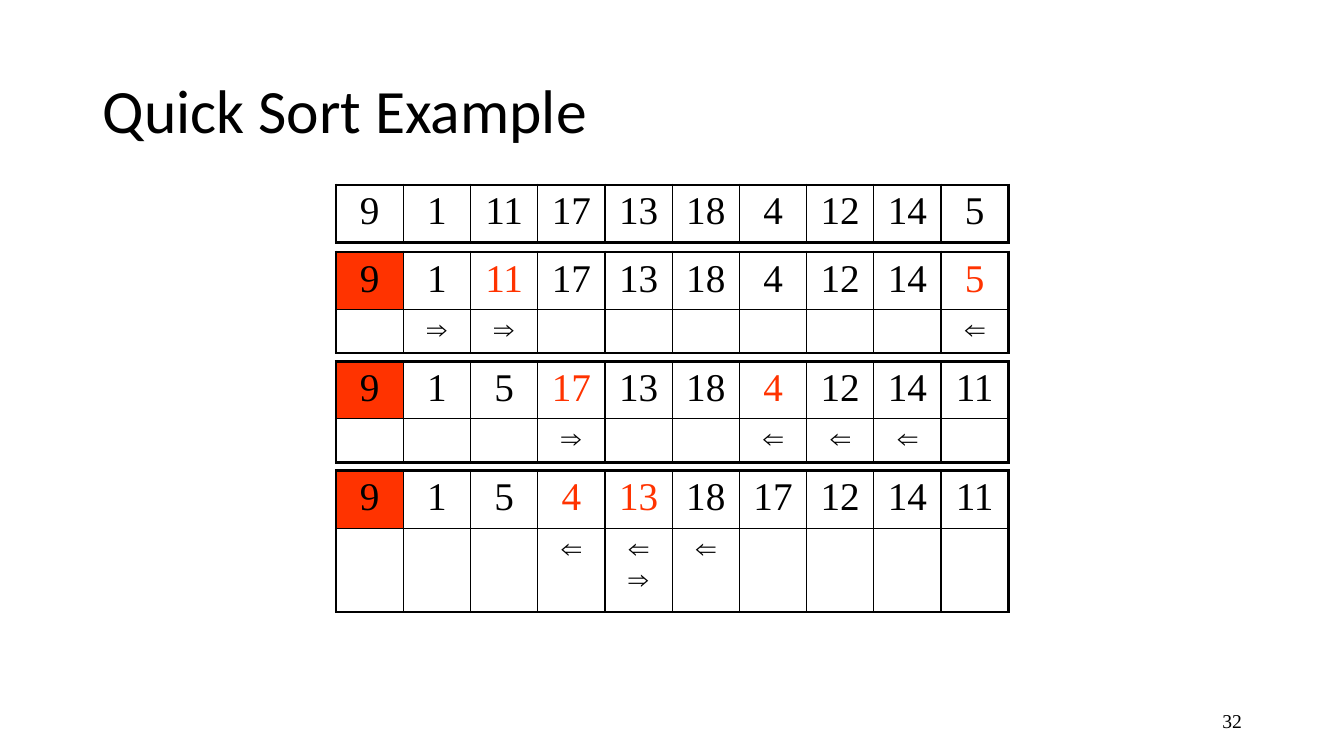
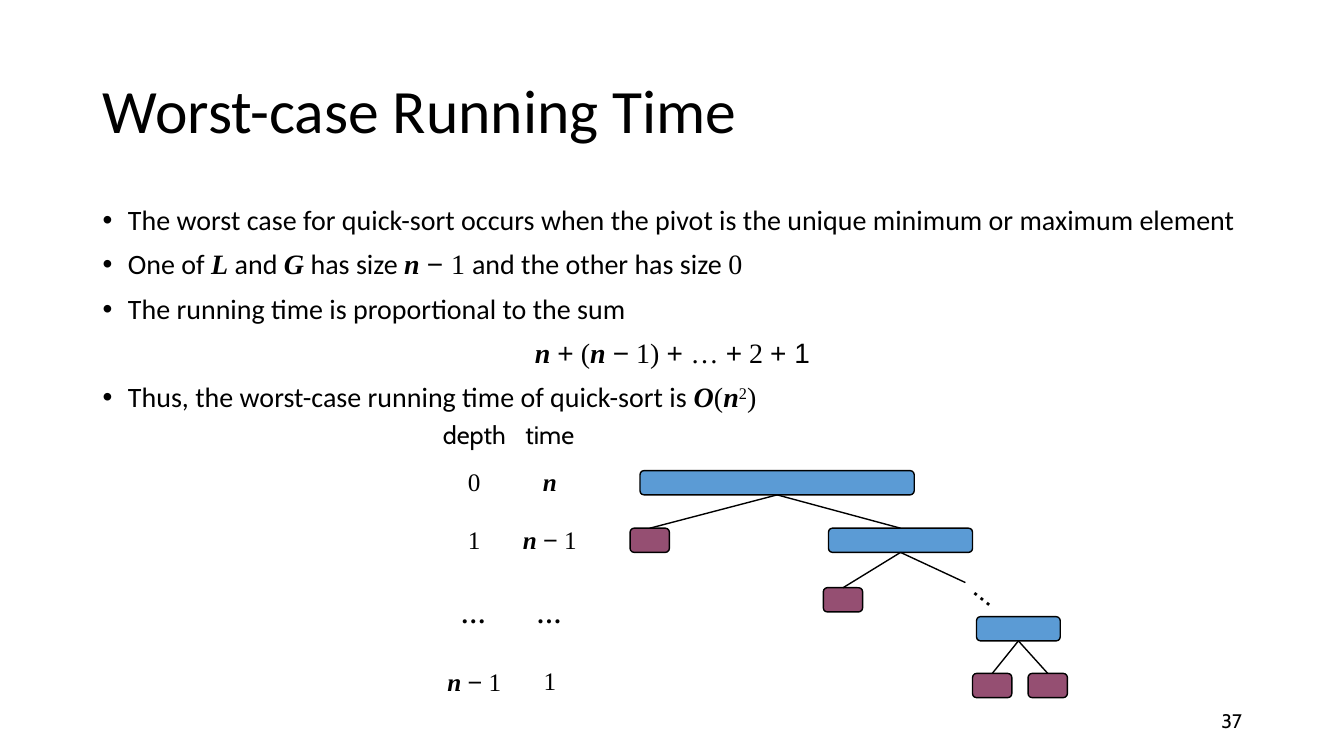
from lxml import etree
from pptx import Presentation
from pptx.dml.color import RGBColor
from pptx.enum.shapes import MSO_CONNECTOR, MSO_SHAPE
from pptx.enum.text import MSO_ANCHOR, PP_ALIGN
from pptx.oxml.ns import qn
from pptx.util import Cm, Pt

STRAIGHT = MSO_CONNECTOR.STRAIGHT
ROUNDED = MSO_SHAPE.ROUNDED_RECTANGLE
TOP, MIDDLE = MSO_ANCHOR.TOP, MSO_ANCHOR.MIDDLE
LEFT, CENTER, RIGHT = PP_ALIGN.LEFT, PP_ALIGN.CENTER, PP_ALIGN.RIGHT
SITE_TOP, SITE_BOTTOM = 0, 2

BLACK, RED, BLUE, PLUM = "000000", "FF3300", "5B9BD5", "954F72"
SANS, SERIF, SYMBOL, LABEL = "Calibri", "Times New Roman", "Arial", "Cabin"
TITLE_ONLY = 5
THICK, THIN = 2.25, 1

# Run styles: font, bold italic, superscript
STYLES = {
    "text": (SANS, False, False),
    "label": (LABEL, False, False),
    "number": (SERIF, False, False),
    "variable": (SERIF, True, False),
    "operator": (SYMBOL, False, False),
    "power": (SERIF, False, True),
}
N_MINUS_1 = [("n ", "variable"), ("−", "operator"), (" 1", "number")]


def rgb(value):
    return RGBColor.from_string(value)


def format_run(run, font, size, color=BLACK, bold=False, italic=False):
    run.font.name = font
    run.font.size = Pt(size)
    run.font.bold = bold
    run.font.italic = italic
    run.font.color.rgb = rgb(color)


def write_line(paragraph, text, font, size, align, color=BLACK, bold=False):
    paragraph.text = text
    paragraph.alignment = align
    for run in paragraph.runs:
        format_run(run, font, size, color, bold)


def write_pieces(paragraph, pieces, size):
    """Fill a paragraph from (text, style name) pairs."""
    for text, style in pieces:
        font, slanted, raised = STYLES[style]
        run = paragraph.add_run()
        run.text = text
        format_run(run, font, size, bold=slanted, italic=slanted)
        if raised:
            run.font._element.set("baseline", "30000")


def add_text_box(slide, left, top, width, height, wrap=True):
    box = slide.shapes.add_textbox(Cm(left), Cm(top), Cm(width), Cm(height))
    box.text_frame.word_wrap = wrap
    return box


def add_page(deck, title, number, number_font):
    """Add a slide with its title and page number."""
    slide = deck.slides.add_slide(deck.slide_layouts[TITLE_ONLY])
    heading = slide.shapes.title
    heading.left, heading.top = Cm(2.34), Cm(1.02)
    heading.width, heading.height = Cm(29.21), Cm(3.68)
    heading.text_frame.vertical_anchor = MIDDLE
    line = heading.text_frame.paragraphs[0]
    write_line(line, title, SANS, 44, LEFT)
    line.line_spacing = 0.9

    footer = add_text_box(slide, 23.93, 17.65, 7.62, 1.02).text_frame
    footer.vertical_anchor = MIDDLE
    write_line(footer.paragraphs[0], number, number_font, 14, RIGHT)
    return slide


def add_grid(slide, left, top, width, row_heights, columns):
    """Add an unstyled table with equal columns."""
    frame = slide.shapes.add_table(len(row_heights), columns, Cm(left), Cm(top),
                                   Cm(width), Cm(sum(row_heights)))
    grid = frame.table
    grid.first_row = grid.horz_banding = False
    for column in grid.columns:
        column.width = Cm(width / columns)
    for row, height in zip(grid.rows, row_heights):
        row.height = Cm(height)
    return grid


def set_borders(cell, **widths):
    """Draw black borders; the keywords L, R, T and B give widths in points."""
    properties = cell._tc.get_or_add_tcPr()
    for side, width in widths.items():
        border = etree.SubElement(properties, qn(f"a:ln{side}"), w=str(Pt(width)))
        fill = etree.SubElement(border, qn("a:solidFill"))
        etree.SubElement(fill, qn("a:srgbClr"), val=BLACK)


def add_trace(slide, left, top, row_heights, values, pivot=None, swapped=(), arrows=None):
    """Draw one state of the array, with a row of scan arrows if there are any."""
    columns, last_row = len(values), len(row_heights) - 1
    grid = add_grid(slide, left, top, 16.94, row_heights, columns)
    for row in range(last_row + 1):
        for column, value in enumerate(values):
            cell = grid.cell(row, column)
            set_borders(cell,
                        L=THICK if column == 0 else THIN,
                        R=THICK if column == columns - 1 else THIN,
                        T=THICK if row == 0 else THIN,
                        B=THICK if row == last_row else THIN)
            if row == 0 and column == pivot:
                cell.fill.solid()
                cell.fill.fore_color.rgb = rgb(RED)
            else:
                cell.fill.background()
            line = cell.text_frame.paragraphs[0]
            if row == 0:
                color = RED if column in swapped else BLACK
                write_line(line, str(value), SERIF, 28, CENTER, color)
            elif column in arrows:
                write_line(line, arrows[column], SERIF, 20, CENTER, bold=True)


def add_bullets(slide, left, top, width, height, lines):
    """Write (pieces, bulleted) lines; those without a bullet are centred."""
    frame = add_text_box(slide, left, top, width, height).text_frame
    for index, (pieces, bulleted) in enumerate(lines):
        paragraph = frame.add_paragraph() if index else frame.paragraphs[0]
        paragraph.alignment = LEFT if bulleted else CENTER
        paragraph.line_spacing = 0.9
        paragraph.space_before = Pt(10)
        write_pieces(paragraph, pieces, 20)
        properties = paragraph._p.get_or_add_pPr()
        indent = Pt(18)
        properties.set("marL", str(indent))
        properties.set("indent", str(-indent))
        if bulleted:
            etree.SubElement(properties, qn("a:buFont"), typeface=SYMBOL)
            etree.SubElement(properties, qn("a:buChar"), char="•")


def add_depth_table(slide, left, top, rows):
    grid = add_grid(slide, left, top, 3.81, [height for height, *_ in rows], 2)
    for row, (_, *entries) in enumerate(rows):
        for column, pieces in enumerate(entries):
            cell = grid.cell(row, column)
            cell.fill.background()
            cell.margin_left = cell.margin_right = 0
            cell.margin_top = cell.margin_bottom = 0
            cell.vertical_anchor = MIDDLE if row else TOP
            paragraph = cell.text_frame.paragraphs[0]
            paragraph.alignment = CENTER
            write_pieces(paragraph, pieces, 18)


def add_call_tree(slide, left, top):
    """Draw the recursion tree of the worst case."""
    def node(x, y, width, color):
        box = slide.shapes.add_shape(ROUNDED, Cm(left + x), Cm(top + y),
                                     Cm(width), Cm(0.61))
        box.shadow.inherit = False
        box.fill.solid()
        box.fill.fore_color.rgb = rgb(color)
        box.line.color.rgb = rgb(BLACK)
        box.line.width = Pt(1)
        return box

    def branch(parent, child=None, end=(0, 0)):
        """Join a parent to a child, or to a free end."""
        edge = slide.shapes.add_connector(STRAIGHT, 0, 0, Cm(left + end[0]),
                                          Cm(top + end[1]))
        edge.begin_connect(parent, SITE_BOTTOM)
        if child is not None:
            edge.end_connect(child, SITE_TOP)
        edge.line.color.rgb = rgb(BLACK)
        edge.line.width = Pt(1)
        etree.SubElement(edge._element.spPr, qn("a:effectLst"))

    def leaf(x, y):
        return node(x, y, 0.99, PLUM)

    root = node(0.25, 0, 6.91, BLUE)
    second = node(5, 1.45, 3.63, BLUE)
    last = node(8.73, 3.68, 2.11, BLUE)
    for parent, child in [(root, leaf(0, 1.45)), (root, second),
                          (second, leaf(4.87, 2.95)),
                          (last, leaf(8.63, 5.11)), (last, leaf(10.03, 5.11))]:
        branch(parent, child)
    branch(second, end=(8.45, 2.82))

    omitted = add_text_box(slide, left + 8.5, top + 2.41, 1.19, 1.27, wrap=False)
    omitted.rotation = 38.4
    write_line(omitted.text_frame.paragraphs[0], "…", LABEL, 24, LEFT)


def build_example(deck):
    slide = add_page(deck, "Quick Sort Example", "32", SERIF)
    left = 8.47
    add_trace(slide, left, 4.66, [1.45], [9, 1, 11, 17, 13, 18, 4, 12, 14, 5])
    add_trace(slide, left, 6.35, [1.34, 1.02], [9, 1, 11, 17, 13, 18, 4, 12, 14, 5],
              pivot=0, swapped=(2, 9), arrows={1: "⇒", 2: "⇒", 9: "⇐"})
    add_trace(slide, left, 9.11, [1.34, 1.02], [9, 1, 5, 17, 13, 18, 4, 12, 14, 11],
              pivot=0, swapped=(3, 6), arrows={3: "⇒", 6: "⇐", 7: "⇐", 8: "⇐"})
    add_trace(slide, left, 11.86, [1.45, 2.11], [9, 1, 5, 4, 13, 18, 17, 12, 14, 11],
              pivot=0, swapped=(3, 4), arrows={3: "⇐", 4: "⇐ ⇒", 5: "⇐"})


def build_worst_case(deck):
    slide = add_page(deck, "Worst-case Running Time", "37", LABEL)
    add_bullets(slide, 2.34, 5.08, 29.21, 12.09, [
        ([("The worst case for quick-sort occurs when the pivot is the unique "
           "minimum or maximum element", "text")], True),
        ([("One of ", "text"), ("L", "variable"), (" and ", "text"), ("G", "variable"),
          (" has size ", "text"), ("n ", "variable"), ("− ", "operator"),
          ("1 ", "number"), ("and the other has size ", "text"), ("0", "number")], True),
        ([("The running time is proportional to the sum", "text")], True),
        ([("n ", "variable"), ("+", "operator"), (" (", "number"), *N_MINUS_1,
          (") ", "number"), ("+ ", "operator"), ("… ", "number"), ("+", "operator"),
          (" 2 ", "number"), ("+ 1", "operator")], False),
        ([("Thus, the worst-case running time of quick-sort is ", "text"),
          ("O", "variable"), ("(", "number"), ("n", "variable"), ("2", "power"),
          (")", "number")], True),
    ])
    add_call_tree(slide, 15.88, 11.86)
    add_depth_table(slide, 11, 10.59, [
        (0.86, [("depth", "label")], [("time", "label")]),
        (1.42, [("0", "number")], [("n", "variable")]),
        (1.52, [("1", "number")], N_MINUS_1),
        (2.21, [("…", "variable")], [("…", "variable")]),
        (1.19, N_MINUS_1, [("1", "number")]),
    ])


def main():
    deck = Presentation()
    deck.slide_width, deck.slide_height = Cm(33.87), Cm(19.05)
    build_example(deck)
    build_worst_case(deck)
    deck.save("out.pptx")


if __name__ == "__main__":
    main()
